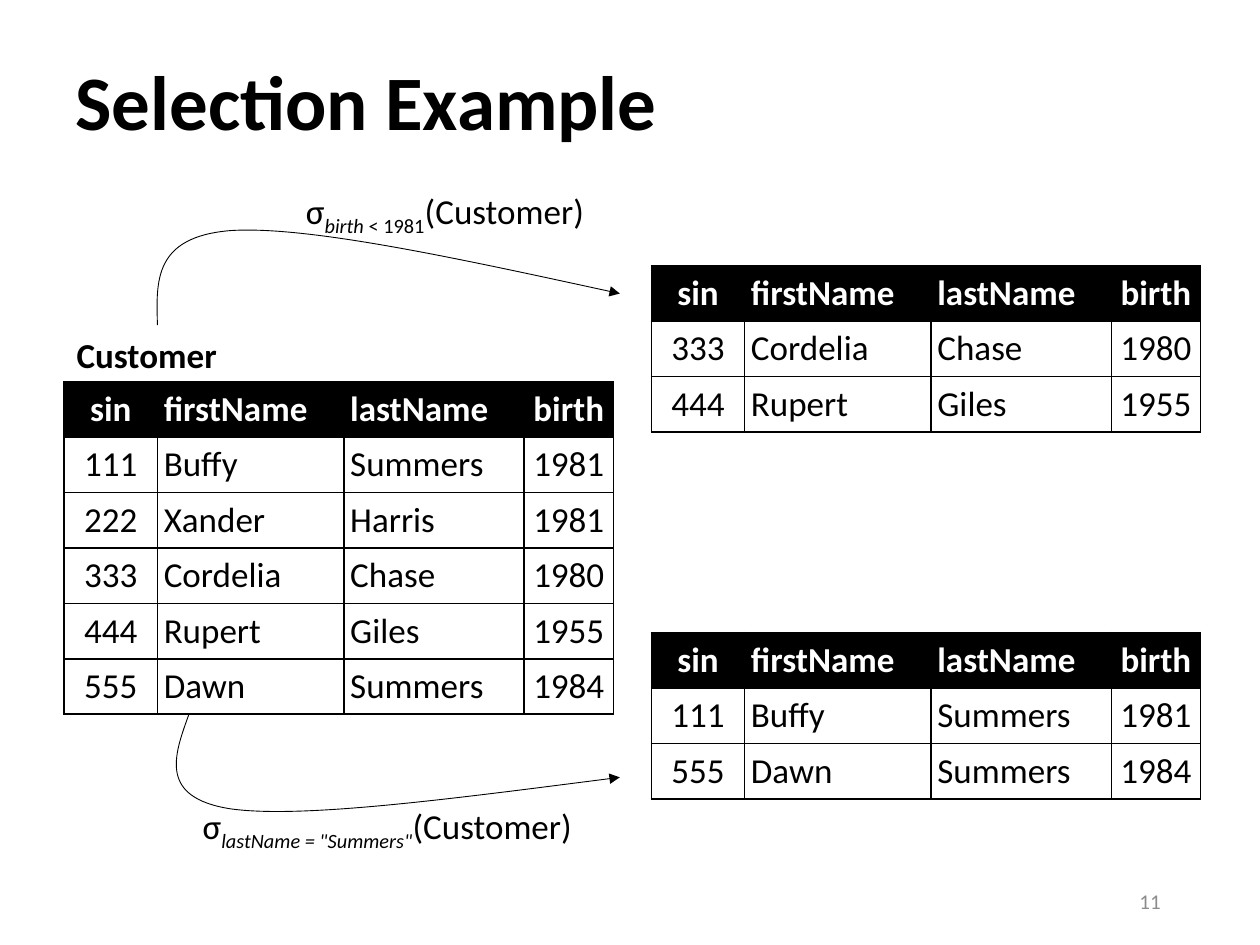
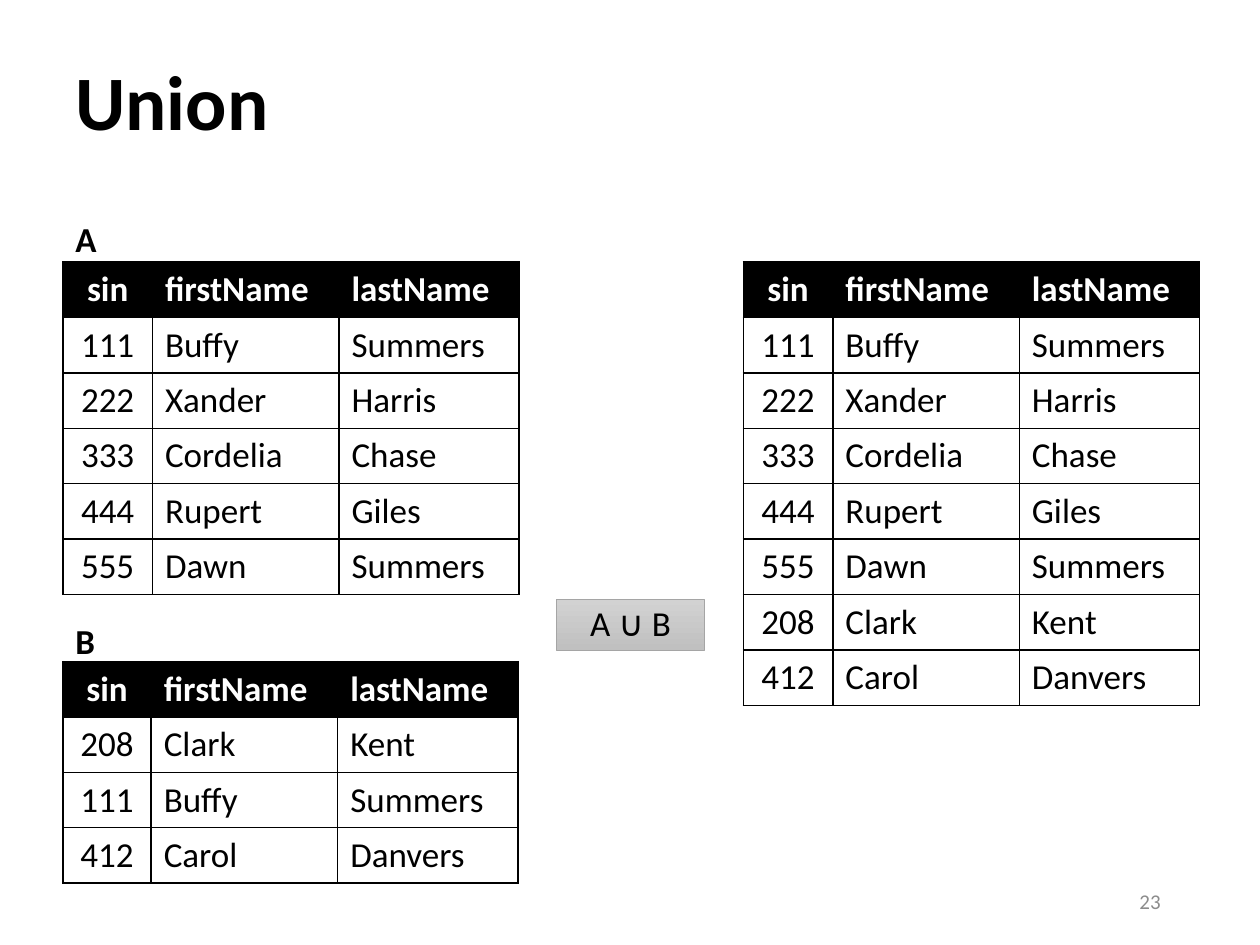
from dataclasses import dataclass

from lxml import etree
from pptx import Presentation
from pptx import util as u
from pptx.dml import color
from pptx.enum import shapes, text
from pptx.oxml import ns


@dataclass(frozen=True)
class Theme:
    """Colours, font and type sizes that the slides share."""
    font: str = "Calibri"
    ink: str = "000000"
    paper: str = "FFFFFF"
    muted: str = "8C8C8C"
    badge_top: str = "D2D2D2"
    badge_bottom: str = "C0C0C0"
    badge_edge: str = "A5A5A5"
    title: int = 44
    body: int = 20
    small: int = 12
    hairline: float = 0.5
    grid: float = 1
    row: float = 0.44


LEFT, CENTER, RIGHT = (text.PP_ALIGN.LEFT, text.PP_ALIGN.CENTER,
                       text.PP_ALIGN.RIGHT)
TOP, MIDDLE = text.MSO_ANCHOR.TOP, text.MSO_ANCHOR.MIDDLE


def rgb(value):
    """Turn RRGGBB into a colour."""
    return color.RGBColor.from_string(value)


def apply(target, **formats):
    """Set each format value on the target."""
    for name, value in formats.items():
        setattr(target, name, value)


def child(parent, tag, **attributes):
    """Append a DrawingML element."""
    return etree.SubElement(parent, ns.qn(tag), attributes)


class Deck:
    """Holds the theme and the slide being built."""

    def __init__(self, theme):
        """Start an empty 10 by 7.5 inch deck."""
        self.theme = theme
        self.file = Presentation()
        apply(self.file, slide_width=u.Inches(10), slide_height=u.Inches(7.5))
        self.slide = None

    def new_slide(self, title, number):
        """Add a slide with its title and page number."""
        t = self.theme
        self.slide = self.file.slides.add_slide(self.file.slide_layouts[6])
        self.label((0.5, 0.13, 8.25, 1.42), title, size=t.title, bold=True,
                   anchor=MIDDLE, spacing=0.9)
        self.label((7.06, 6.95, 2.25, 0.4), number, size=t.small,
                   ink=t.muted, align=RIGHT, anchor=MIDDLE)

    def set_text(self, frame, words, size=None, ink=None, bold=False,
                 align=LEFT, anchor=TOP, spacing=None):
        """Fill a text frame; words is a string or (text, formats) runs."""
        t = self.theme
        apply(frame, word_wrap=True, vertical_anchor=anchor)
        paragraph = frame.paragraphs[0]
        apply(paragraph, alignment=align, line_spacing=spacing)
        runs = [(words, {})] if isinstance(words, str) else words
        for content, formats in runs:
            run = paragraph.add_run()
            run.text = content
            apply(run.font, name=t.font, size=u.Pt(size or t.body), bold=bold,
                  italic=formats.get("italic", False))
            run.font.color.rgb = rgb(ink or t.ink)
            if formats.get("subscript"):
                run.font._element.set("baseline", "-25000")

    def label(self, box, words, **style):
        """Add a text box."""
        area = self.slide.shapes.add_textbox(*map(u.Inches, box))
        self.set_text(area.text_frame, words, **style)

    def selection(self, box, condition):
        """Add a selection formula with its condition as subscript."""
        runs = [(part, {"italic": italic, "subscript": True})
                for part, italic in condition]
        self.label(box, [("σ", {}), *runs, ("(Customer)", {})], spacing=0.9)

    def relation(self, left, top, rows, widths, inset=0.1):
        """Add a table with a black header row; sin and birth are centred."""
        t = self.theme
        grid = self.slide.shapes.add_table(
            len(rows), len(widths), u.Inches(left), u.Inches(top),
            u.Inches(sum(widths)), u.Inches(t.row * len(rows))).table
        for column, width in zip(grid.columns, widths):
            column.width = u.Inches(width)
        for r, row in enumerate(rows):
            back, ink = (t.ink, t.paper) if r == 0 else (t.paper, t.ink)
            for c, value in enumerate(row):
                cell = grid.cell(r, c)
                self.border(cell)
                cell.fill.solid()
                cell.fill.fore_color.rgb = rgb(back)
                self.set_text(cell.text_frame, value, ink=ink, bold=r == 0,
                              align=CENTER if c in (0, 3) else LEFT)
                apply(cell, vertical_anchor=MIDDLE,
                      margin_left=u.Inches(inset), margin_right=u.Inches(inset),
                      margin_top=u.Inches(0.05), margin_bottom=u.Inches(0.05))

    def border(self, cell):
        """Draw all four edges of a cell."""
        properties = cell._tc.get_or_add_tcPr()
        for side in "LRTB":
            edge = child(properties, f"a:ln{side}",
                         w=str(u.Pt(self.theme.grid)))
            child(child(edge, "a:solidFill"), "a:srgbClr", val=self.theme.ink)

    def curved_arrow(self, start, *controls):
        """Add a Bezier arrow; every three points make one segment."""
        def emu(point):
            return tuple(u.Inches(value) for value in point)

        builder = self.slide.shapes.build_freeform(*emu(start))
        builder.add_line_segments([emu(p) for p in controls], close=False)
        arrow = builder.convert_to_shape()
        outline = next(arrow._element.iter(ns.qn("a:path")))
        steps = outline.findall(ns.qn("a:lnTo"))
        for first in range(0, len(steps), 3):
            curve = child(outline, "a:cubicBezTo")
            for step in steps[first:first + 3]:
                curve.append(step[0])
                outline.remove(step)
        arrow.shadow.inherit = False
        arrow.fill.background()
        arrow.line.width = u.Pt(self.theme.hairline)
        arrow.line.color.rgb = rgb(self.theme.ink)
        child(arrow.line._get_or_add_ln(), "a:tailEnd", type="triangle")

    def badge(self, box, words):
        """Add a shaded rectangle with centred text."""
        t = self.theme
        plate = self.slide.shapes.add_shape(
            shapes.MSO_SHAPE.RECTANGLE, *map(u.Inches, box))
        plate.shadow.inherit = False
        plate.fill.gradient()
        plate.fill.gradient_angle = 270
        for stop, shade in zip(plate.fill.gradient_stops,
                               (t.badge_top, t.badge_bottom)):
            stop.color.rgb = rgb(shade)
        plate.line.width = u.Pt(t.hairline)
        plate.line.color.rgb = rgb(t.badge_edge)
        self.set_text(plate.text_frame, words, align=CENTER, anchor=MIDDLE,
                      spacing=0.9)


HEADER = ("sin", "firstName", "lastName", "birth")
PEOPLE = {row[0]: row for row in (
    ("111", "Buffy", "Summers", "1981"),
    ("222", "Xander", "Harris", "1981"),
    ("333", "Cordelia", "Chase", "1980"),
    ("444", "Rupert", "Giles", "1955"),
    ("555", "Dawn", "Summers", "1984"),
    ("208", "Clark", "Kent"),
    ("412", "Carol", "Danvers"))}
CUSTOMERS = ("111", "222", "333", "444", "555")


def pick(sins, columns):
    """Return the header and the chosen people, cut to the columns."""
    return [row[:columns] for row in (HEADER, *(PEOPLE[s] for s in sins))]


def selection_slide(deck):
    """Show two selections from the Customer table."""
    deck.new_slide("Selection Example", "11")
    for left, top, sins in ((0.51, 3.03, CUSTOMERS),
                            (5.17, 2.11, ("333", "444")),
                            (5.17, 5.02, ("111", "555"))):
        deck.relation(left, top, pick(sins, 4), (0.74, 1.48, 1.43, 0.71),
                      inset=0.05)
    deck.curved_arrow((1.5, 5.67), (1.38, 6), (1.26, 6.33), (1.83, 6.42),
                      (2.4, 6.5), (3.66, 6.33), (4.92, 6.17))
    deck.curved_arrow((1.25, 2.58), (1.24, 2.23), (1.22, 1.88), (1.83, 1.83),
                      (2.44, 1.79), (3.68, 2.06), (4.92, 2.33))
    deck.label((0.51, 2.6, 1.4, 0.44), "Customer", bold=True)
    deck.selection((2.33, 1.46, 3.25, 0.4),
                   [("birth", True), (" < 1981", False)])
    deck.selection((1.51, 6.34, 3.49, 0.4), [('lastName = "Summers"', True)])


def union_slide(deck):
    """Show tables A and B and their union."""
    deck.new_slide("Union", "23")
    for left, top, sins, first in (
            (5.9, 2.08, CUSTOMERS + ("208", "412"), 0.71),
            (0.5, 5.25, ("208", "111", "412"), 0.7),
            (0.5, 2.08, CUSTOMERS, 0.71)):
        deck.relation(left, top, pick(sins, 3), (first, 1.48, 1.43))
    deck.badge((4.42, 4.76, 1.17, 0.4), "A ∪ B")
    for name, top in (("A", 1.68), ("B", 4.87)):
        deck.label((0.5, top, 0.42, 0.44), name, bold=True)


deck = Deck(Theme())
selection_slide(deck)
union_slide(deck)
deck.file.save("out.pptx")
